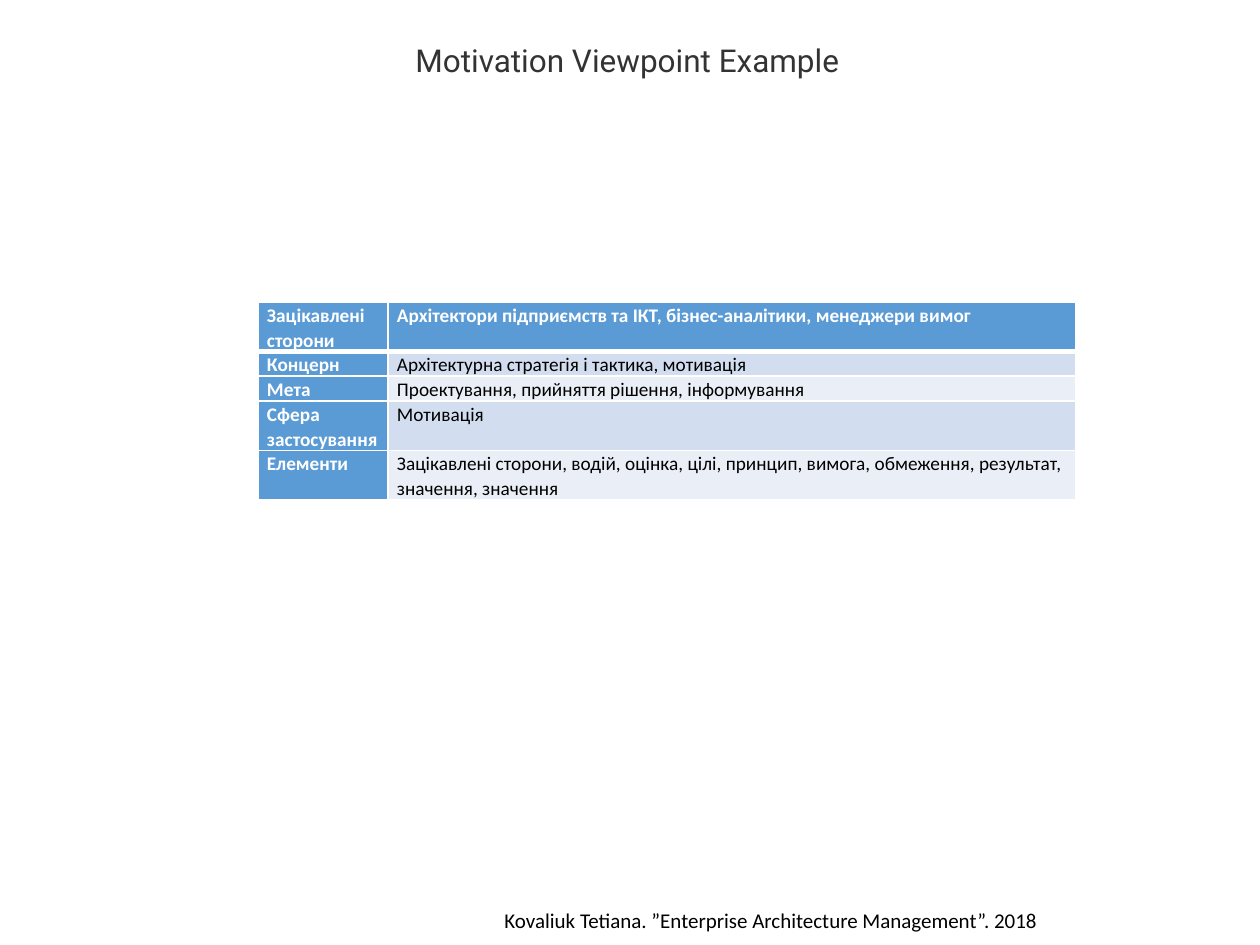
from lxml.etree import SubElement
from pptx import Presentation
from pptx.dml.color import RGBColor
from pptx.enum.text import MSO_AUTO_SIZE, PP_ALIGN
from pptx.oxml.ns import qn
from pptx.util import Emu, Pt

WHITE = RGBColor(0xFF, 0xFF, 0xFF)
BLACK = RGBColor(0, 0, 0)
CHARCOAL = RGBColor(0x33, 0x33, 0x33)
BLUE = RGBColor(0x5B, 0x9B, 0xD5)
BANDS = (RGBColor(0xEA, 0xEF, 0xF7), RGBColor(0xD2, 0xDE, 0xEF))

TITLE_FORMAT = {"size": Pt(18), "name": "Roboto"}
FOOTER_FORMAT = {"size": Pt(12), "name": "Calibri"}
HEADING_FORMAT = {"size": Pt(11), "name": "Calibri", "bold": True}
BODY_FORMAT = {"size": Pt(11), "name": "Calibri", "bold": False}

VIEWPOINT_ROWS = [
    ("Зацікавлені сторони", "Архітектори підприємств та ІКТ, бізнес-аналітики, менеджери вимог"),
    ("Концерн", "Архітектурна стратегія і тактика, мотивація"),
    ("Мета", "Проектування, прийняття рішення, інформування"),
    ("Сфера застосування", "Мотивація"),
    ("Елементи", "Зацікавлені сторони, водій, оцінка, цілі, принцип, вимога, "
                 "обмеження, результат, значення, значення"),
]
ROW_LINES = (2, 1, 1, 2, 2)
LINE_HEIGHT = 24
LABEL_WIDTH = 130


def px(length):
    return Emu(round(length * 914400 / 126))


def write(para, text, font_format, color):
    span = para.add_run()
    span.text = text
    for attribute, value in font_format.items():
        setattr(span.font, attribute, value)
    span.font.color.rgb = color


def add_text(page, box, text, font_format, color, align, wrap):
    frame = page.shapes.add_textbox(*map(px, box)).text_frame
    frame.word_wrap = wrap
    frame.auto_size = MSO_AUTO_SIZE.SHAPE_TO_FIT_TEXT
    para = frame.paragraphs[0]
    para.alignment = align
    write(para, text, font_format, color)


def set_borders(cell, widths):
    properties = cell._tc.get_or_add_tcPr()
    for position, (side, width) in enumerate(widths.items()):
        line = SubElement(properties, qn(f"a:ln{side}"), w=str(Pt(width)))
        fill = SubElement(line, qn("a:solidFill"))
        SubElement(fill, qn("a:srgbClr"), val=str(WHITE))
        properties.insert(position, line)


def fill_cell(cell, text, font_format, color, background):
    margins = {"margin_left": px(9), "margin_right": px(9),
               "margin_top": 0, "margin_bottom": 0}
    for attribute, value in margins.items():
        setattr(cell, attribute, value)
    cell.fill.solid()
    cell.fill.fore_color.rgb = background
    para = cell.text_frame.paragraphs[0]
    para.line_spacing = 1.07
    write(para, text, font_format, color)


def add_viewpoint_table(page, box):
    table = page.shapes.add_table(len(VIEWPOINT_ROWS), 2, *map(px, box)).table
    table.first_row = table.horz_banding = False
    for column, width in zip(table.columns, (LABEL_WIDTH, box[2] - LABEL_WIDTH)):
        column.width = px(width)
    for row, texts in enumerate(VIEWPOINT_ROWS):
        table.rows[row].height = px(ROW_LINES[row] * LINE_HEIGHT)
        for column, text in enumerate(texts):
            cell = table.cell(row, column)
            # The first row and the first column are headings
            if row == 0 or column == 0:
                fill_cell(cell, text, HEADING_FORMAT, WHITE, BLUE)
            else:
                fill_cell(cell, text, BODY_FORMAT, BLACK, BANDS[row % 2])
            set_borders(cell, {"L": 1, "R": 1, "T": 3 if row == 1 else 1,
                               "B": 3 if row == 0 else 1})


def main():
    deck = Presentation()
    deck.slide_width, deck.slide_height = px(1260), px(945)
    page = deck.slides.add_slide(deck.slide_layouts[6])

    # Footer
    add_text(page, (282, 901, 978, 38),
             "Kovaliuk Tetiana. ”Enterprise Architecture Management”. 2018",
             FOOTER_FORMAT, BLACK, PP_ALIGN.CENTER, True)
    # Viewpoint description
    add_viewpoint_table(page, (258, 302, 818, LINE_HEIGHT * sum(ROW_LINES)))
    # Title
    add_text(page, (403, 35, 449, 50), "Motivation Viewpoint Example",
             TITLE_FORMAT, CHARCOAL, PP_ALIGN.LEFT, False)
    deck.save("out.pptx")


if __name__ == "__main__":
    main()
